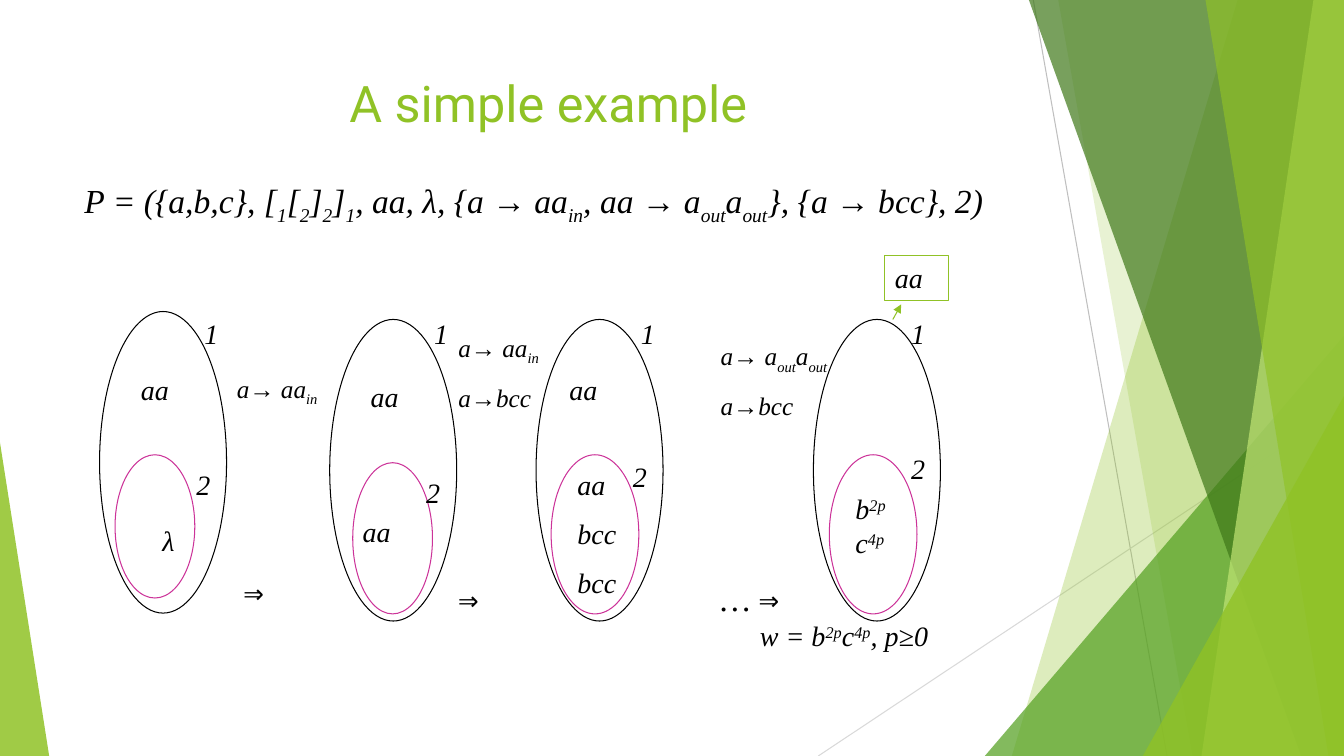
from lxml import etree
from pptx import Presentation
from pptx import util as u
from pptx.dml.color import RGBColor
from pptx.enum import shapes, text
from pptx.oxml.ns import qn

WIDTH, HEIGHT = 33.87, 19.05
SERIF, SANS, SYMBOLS = "Times New Roman", "Roboto", "DejaVu Sans Mono"
BLACK, WHITE, GREEN, PINK = "000000", "FFFFFF", "90C226", "CC3399"
BASELINES = {"_": "-25000", "^": "30000"}


def color(value):
    return RGBColor.from_string(value)


def box(*lengths):
    return [u.Cm(length) for length in lengths]


def style(shape, fill=None, line=None, opacity=100):
    shape.shadow.inherit = False
    if fill:
        shape.fill.solid()
        shape.fill.fore_color.rgb = color(fill)
        if opacity < 100:
            hue = shape.fill._xPr.find(qn("a:solidFill"))[0]
            etree.SubElement(hue, qn("a:alpha")).set("val", str(opacity * 1000))
    else:
        shape.fill.background()
    if line:
        shape.line.color.rgb = color(line)
        shape.line.width = u.Pt(0.75)
    else:
        shape.line.fill.background()


def add_line(slide, start, end, line, arrow=False):
    connector = slide.shapes.add_connector(
        shapes.MSO_CONNECTOR.STRAIGHT, *box(*start, *end))
    connector.line.color.rgb = color(line)
    connector.line.width = u.Pt(0.75)
    properties = connector._element.spPr
    if arrow:
        outline = properties.find(qn("a:ln"))
        etree.SubElement(outline, qn("a:tailEnd")).set("type", "triangle")
    etree.SubElement(properties, qn("a:effectLst"))


def write(shape, lines, size=20, font=SERIF, hue=BLACK, italic=True,
          align=text.PP_ALIGN.LEFT):
    """Pieces of a line are split by |; _ lowers and ^ raises a piece."""
    frame = shape.text_frame
    frame.word_wrap = True
    frame.vertical_anchor = text.MSO_ANCHOR.TOP
    for index, line in enumerate(lines):
        paragraph = frame.add_paragraph() if index else frame.paragraphs[0]
        paragraph.alignment = align
        paragraph.space_before = u.Pt(11 if index else 0)
        paragraph.font.size = u.Pt(size)
        paragraph.font.name = font
        paragraph.font.italic = italic
        paragraph.font.color.rgb = color(hue)
        for piece in line.split("|"):
            run = paragraph.add_run()
            run.text = piece.lstrip("_^")
            if piece[0] in BASELINES:
                run._r.get_or_add_rPr().set("baseline", BASELINES[piece[0]])
            if piece == "⇒":
                run.font.name = SYMBOLS


def add_text(slide, left, top, width, height, lines, **options):
    write(slide.shapes.add_textbox(*box(left, top, width, height)), lines, **options)


def add_preset(slide, kind, left, top, width, height, **options):
    shape = slide.shapes.add_shape(kind, *box(left, top, width, height))
    style(shape, **options)
    return shape


def add_band(slide, top_left, bottom_left, fill, opacity):
    """A band from a slanted left side to the right edge of the slide."""
    builder = slide.shapes.build_freeform(*box(top_left, 0))
    builder.add_line_segments(
        [box(WIDTH, 0), box(WIDTH, HEIGHT), box(bottom_left, HEIGHT)])
    style(builder.convert_to_shape(), fill, opacity=opacity)


def add_corner(slide, left, top, width, apex, fill, opacity):
    """A right triangle standing on the bottom edge."""
    triangle = add_preset(slide, shapes.MSO_SHAPE.ISOSCELES_TRIANGLE, left, top,
                          width, HEIGHT - top, fill=fill, opacity=opacity)
    triangle.adjustments[0] = apex


def add_backdrop(slide):
    add_line(slide, (26.04, 0), (29.41, HEIGHT), "BFBFBF")
    add_line(slide, (WIDTH, 10.24), (20.62, HEIGHT), "D9D9D9")
    add_band(slide, 31.19, 25.5, GREEN, 30)
    add_band(slide, 26.67, 30.05, GREEN, 20)
    add_corner(slide, 24.82, 8.46, WIDTH - 24.82, 1, "54A021", 72)
    add_band(slide, 25.93, 32.79, "3F7819", 70)
    add_band(slide, 33.1, 30.28, "C0E474", 70)
    add_band(slide, 30.38, 33.48, GREEN, 65)
    add_corner(slide, 28.8, 9.98, WIDTH - 28.8, 1, GREEN, 80)
    add_corner(slide, 0, 11.15, 1.24, 0, GREEN, 85)


def add_heading(slide, left, top, width):
    add_text(slide, left, top, width, 3.66, ["A simple example"], size=36,
             font=SANS, hue=GREEN, italic=False, align=text.PP_ALIGN.CENTER)
    formula = ("P = ({a,b,c}, [|_1|[|_2|]|_2|]|_1|, aa, λ, {a → aa|_in"
               "|, aa → a|_out|a|_out|}, {a → bcc}, 2)")
    add_text(slide, left, top + 2.72, width, 1.5, [formula], size=24)


def add_membrane(slide, left, top, inner, labels):
    """Nested membranes; inner box and labels are offsets from left, top."""
    oval = shapes.MSO_SHAPE.OVAL
    add_preset(slide, oval, left, top, 3.2, 7.6, fill=WHITE, line=BLACK)
    x, y, width, height = inner
    add_preset(slide, oval, left + x, top + y, width, height, fill=WHITE, line=PINK)
    for x, y, width, lines in labels:
        add_text(slide, left + x, top + y, width, 1.09, lines)


def add_step(slide, left, top, rules, arrow_left, arrow_top, arrow):
    add_text(slide, left, top, 3.4, 1.02, rules, size=18)
    add_text(slide, arrow_left, arrow_top, 2.57, 1.27, [arrow], size=24)


def add_output(slide, left, top):
    label = add_preset(slide, shapes.MSO_SHAPE.RECTANGLE, left, top, 1.6, 1.12,
                       line=GREEN)
    write(label, ["aa"])
    add_line(slide, (left + 0.2, top + 1.6), (left + 0.41, top + 1.22), GREEN,
             arrow=True)
    add_text(slide, left - 3.4, top + 9.02, 5.79, 1.09,
             ["w = b|^2p|c|^4p|, p≥0"])


MEMBRANES = [
    (2.51, 7.85, (0.39, 3.61, 2.01, 3.61),
     [(0.79, 1.42, 1.6, ["aa"]), (1.33, 5.21, 1.07, ["λ"]),
      (2.39, 0, 1, ["1"]), (2.19, 3.81, 1, ["2"])]),
    (8.31, 8.05, (0.58, 3.61, 2.01, 3.81),
     [(0.78, 1.4, 1.6, ["aa"]), (0.58, 4.8, 1.6, ["aa"]),
      (2.38, -0.2, 1, ["1"]), (2.18, 3.81, 1, ["2"])]),
    (13.51, 8.05, (0.38, 3.41, 2.21, 4.01),
     [(0.59, 1.22, 1.6, ["aa"]), (0.79, 3.61, 1.6, ["aa", "bcc", "bcc"]),
      (2.39, -0.2, 1, ["1"]), (2.19, 3.41, 1, ["2"])]),
    (20.5, 8.05, (0.4, 3.41, 2.21, 4.01),
     [(0.81, 4.22, 1.4, ["b|^2p|c|^4p"]),
      (2.21, -0.2, 1, ["1"]), (2.21, 3.2, 1, ["2"])]),
]
STEPS = [
    (5.72, 9.27, ["a→ aa|_in"], 5.89, 14.25, "⇒"),
    (11.3, 8.25, ["a→ aa|_in", "a→bcc"], 11.3, 14.45, "⇒"),
    (17.91, 8.46, ["a→ a|_out|a|_out", "a→bcc"], 17.91, 14.45, "… |⇒"),
]


def main():
    presentation = Presentation()
    presentation.slide_width, presentation.slide_height = box(WIDTH, HEIGHT)
    slide = presentation.slides.add_slide(presentation.slide_layouts[6])
    add_backdrop(slide)
    add_heading(slide, 1.88, 1.7, 23.88)
    # Computation from the first configuration to the last
    for membrane in MEMBRANES:
        add_membrane(slide, *membrane)
    for step in STEPS:
        add_step(slide, *step)
    add_output(slide, 22.3, 6.45)
    presentation.save("out.pptx")


if __name__ == "__main__":
    main()
